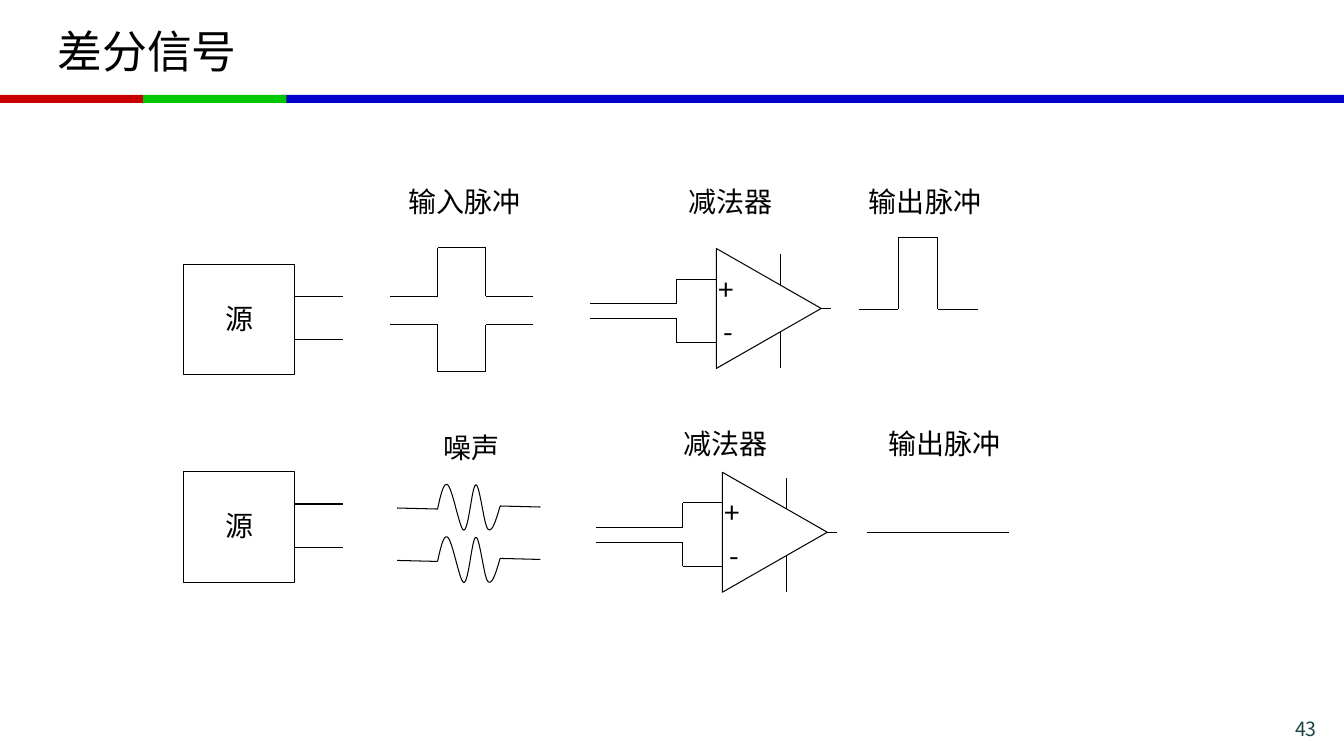
from dataclasses import dataclass
from itertools import pairwise
from lxml.etree import SubElement
from pptx import Presentation
from pptx.dml.color import RGBColor as RGB
from pptx.enum.shapes import MSO_CONNECTOR as LINK, MSO_SHAPE as SHAPE
from pptx.enum.text import MSO_ANCHOR as ANCHOR, PP_ALIGN as ALIGN
from pptx.oxml.ns import qn
from pptx.util import Inches, Pt


@dataclass(frozen=True)
class Theme:
    font: str = "Noto Sans CJK SC"
    ink: RGB = RGB(0, 0, 0)
    paper: RGB = RGB(255, 255, 255)
    red: RGB = RGB(0xC8, 0, 0)
    green: RGB = RGB(0, 0xC8, 0)
    blue: RGB = RGB(0, 0, 0xC8)
    number: RGB = RGB(0x1E, 0x46, 0x49)
    title_size: Pt = Pt(32)
    label_size: Pt = Pt(20)
    number_size: Pt = Pt(14)
    stroke: Pt = Pt(0.75)


theme = Theme()
deck = Presentation()
deck.slide_width, deck.slide_height = Inches(13.33), Inches(7.5)
slide = deck.slides.add_slide(deck.slide_layouts[5])
shapes = slide.shapes


def write(frame, text, size=theme.label_size, color=theme.ink, align=ALIGN.LEFT):
    frame.word_wrap = True
    paragraph = frame.paragraphs[0]
    paragraph.text = text
    paragraph.alignment = align
    paragraph.font.size = size
    paragraph.font.name = theme.font
    paragraph.font.color.rgb = color
    defaults = paragraph._p.pPr.find(qn("a:defRPr"))
    SubElement(defaults, qn("a:ea")).set("typeface", theme.font)


def trace(*points):
    for start, end in pairwise(points):
        wire = shapes.add_connector(LINK.STRAIGHT, *map(Inches, start + end))
        wire.line.color.rgb = theme.ink
        wire.line.width = theme.stroke
        SubElement(wire._element.spPr, qn("a:effectLst"))


for left, width, color in [(2.79, 10.54, theme.blue), (0, 1.42, theme.red), (1.42, 1.42, theme.green)]:
    band = shapes.add_shape(SHAPE.RECTANGLE, *map(Inches, (left, 0.94, width, 0.08)))
    band.shadow.inherit = False
    band.fill.solid()
    band.fill.fore_color.rgb = color
    band.line.fill.background()

title = shapes.title
title.left, title.top, title.width, title.height = map(Inches, (0.47, 0.08, 12.39, 0.84))
title.text_frame.vertical_anchor = ANCHOR.MIDDLE
write(title.text_frame, "差分信号", theme.title_size)

page = shapes.add_textbox(*map(Inches, (11.86, 7.06, 1.3, 0.28)))
write(page.text_frame, "43", theme.number_size, theme.number, ALIGN.RIGHT)

for top in (2.62, 4.68):
    source = shapes.add_shape(SHAPE.RECTANGLE, *map(Inches, (1.82, top, 1.1, 1.1)))
    source.shadow.inherit = False
    source.fill.background()
    source.line.color.rgb = theme.ink
    source.line.width = theme.stroke
    for drop in (0.32, 0.75):
        trace((2.92, top + drop), (3.4, top + drop))

for base, peak in [(2.94, 2.46), (3.22, 3.69)]:
    trace((3.87, base), (4.34, base), (4.34, peak), (4.82, peak), (4.82, base), (5.29, base))

noise_curves = [
    ((4.34, 5.05), (4.37, 4.91), (4.4, 4.78), (4.44, 4.81)),
    ((4.44, 4.81), (4.49, 4.85), (4.56, 5.26), (4.6, 5.26)),
    ((4.6, 5.26), (4.65, 5.26), (4.68, 4.81), (4.72, 4.81)),
    ((4.72, 4.81), (4.76, 4.81), (4.8, 5.22), (4.84, 5.25)),
    ((4.84, 5.25), (4.88, 5.29), (4.92, 5.16), (4.96, 5.02)),
]
steps = 12
for shift in (0, 0.52):
    wave = []
    for curve in noise_curves:
        for step in range(steps + 1):
            t = step / steps
            weights = ((1 - t) ** 3, 3 * t * (1 - t) ** 2, 3 * t * t * (1 - t), t ** 3)
            x, y = (sum(w * v for w, v in zip(weights, axis)) for axis in zip(*curve))
            wave.append((Inches(x), Inches(y + shift)))
    builder = shapes.build_freeform(*wave[0])
    builder.add_line_segments(wave[1:], close=False)
    noise = builder.convert_to_shape()
    noise.shadow.inherit = False
    noise.fill.background()
    noise.line.color.rgb = theme.ink
    noise.line.width = theme.stroke
    trace((3.94, 5.04 + shift), (4.34, 5.05 + shift))
    trace((4.96, 5.02 + shift), (5.36, 5.03 + shift))

for dx, dy in [(0, 0), (0.06, 2.22)]:
    trace((7.85 + dx, 3.06 + dy), (8.24 + dx, 3.06 + dy))
    trace((7.74 + dx, 2.52 + dy), (7.74 + dx, 3.65 + dy))
    for inner, outer in [(3.01, 2.77), (3.16, 3.4)]:
        trace((5.85 + dx, inner + dy), (6.71 + dx, inner + dy),
              (6.71 + dx, outer + dy), (7.11 + dx, outer + dy))
    subtractor = shapes.add_shape(SHAPE.ISOSCELES_TRIANGLE, *map(Inches, (7.03 + dx, 2.54 + dy, 1.19, 1.04)))
    subtractor.rotation = 90
    subtractor.shadow.inherit = False
    subtractor.fill.solid()
    subtractor.fill.fore_color.rgb = theme.paper
    subtractor.line.color.rgb = theme.ink
    subtractor.line.width = theme.stroke

trace((8.52, 3.07), (8.91, 3.07), (8.91, 2.36), (9.3, 2.36), (9.3, 3.07), (9.7, 3.07))
trace((8.6, 5.28), (10.01, 5.28))

labels = [
    ("源", 2.14, 2.94, 0.55), ("源", 2.14, 5, 0.55),
    ("输入脉冲", 3.95, 1.78, 1.42), ("噪声", 4.3, 4.22, 0.87),
    ("减法器", 6.73, 1.78, 1.42), ("减法器", 6.68, 4.18, 1.42),
    ("输出脉冲", 8.52, 1.78, 1.42), ("输出脉冲", 8.71, 4.18, 1.42),
    ("+", 7.03, 2.65, 0.55), ("+", 7.09, 4.87, 0.55),
    ("-", 7.08, 3.07, 0.31), ("-", 7.14, 5.29, 0.31),
]
for text, left, top, width in labels:
    label = shapes.add_textbox(*map(Inches, (left, top, width, 0.44)))
    write(label.text_frame, text)

deck.save("out.pptx")
